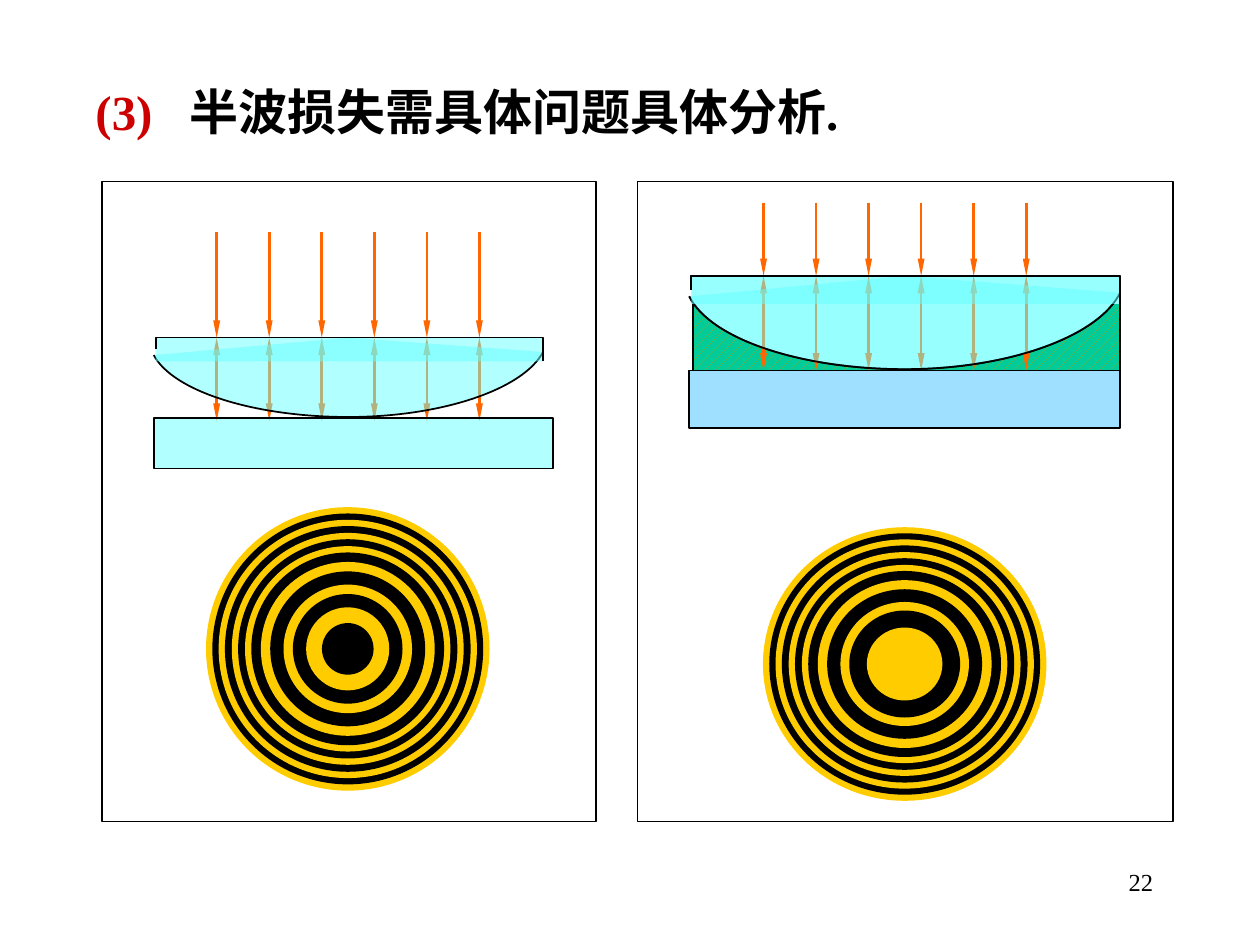
from dataclasses import dataclass

from lxml import etree
from pptx import Presentation
from pptx.dml.color import RGBColor
from pptx.enum.dml import MSO_PATTERN
from pptx.enum.shapes import MSO_CONNECTOR, MSO_SHAPE
from pptx.enum.text import PP_ALIGN
from pptx.oxml.ns import qn
from pptx.util import Inches, Pt

RECT, OVAL = MSO_SHAPE.RECTANGLE, MSO_SHAPE.OVAL
STRAIGHT = MSO_CONNECTOR.STRAIGHT
FONT = "Times New Roman"
BLACK, WHITE, YELLOW, RED = "000000", "FFFFFF", "FFCC00", "CC0000"
RAY, GLASS, PALE_GLASS, SLAB = "FF6600", "66FFFF", "CCFFFF", "9FDFFF"
LIQUID, LIQUID_DOTS = "00CC99", "CC9900"
RAY_COUNT, RAY_GAP = 6, 0.417

# Lens underside in thousandths of the lens box: start, then two cubic curves
UNIT = 1000
BELLY = (
    ("moveTo", ((1000, 180),)),
    ("cubicBezTo", ((950, 650), (740, 1000), (500, 1000))),
    ("cubicBezTo", ((260, 1000), (50, 680), (0, 220))),
)
TO_TOP = (("lnTo", ((500, 0),)), ("close", ()))
CORNERS = ((0, 0), (1, 0), (1, 1), (0, 1))
CAP_LEFT, CAP_HEIGHT = 0.005, 0.3
CAP_EDGE = ((0, 0.5), (0, 0), (1, 0), (1, 1))

RING_DIAMETERS = (2.25, 2.15, 2.05, 1.95, 1.84, 1.74, 1.63,
                  1.53, 1.38, 1.23, 1.02)


@dataclass
class Box:
    x: float
    y: float
    w: float
    h: float

    def lengths(self):
        return [Inches(v) for v in (self.x, self.y, self.w, self.h)]

    def point(self, fx: float, fy: float):
        return Inches(self.x + fx * self.w), Inches(self.y + fy * self.h)


def rgb(color: str) -> RGBColor:
    return RGBColor.from_string(color)


def style(sp, fill: str | None, line: float = 0, alpha: int = 100) -> None:
    """Set fill, opacity in percent and black line width in points."""
    sp.shadow.inherit = False
    if fill is None:
        sp.fill.background()
    else:
        sp.fill.solid()
        sp.fill.fore_color.rgb = rgb(fill)
        if alpha < 100:
            clr = sp._element.spPr.find(qn("a:solidFill"))[0]
            etree.SubElement(clr, qn("a:alpha"), val=str(alpha * 1000))
    if line:
        sp.line.color.rgb = rgb(BLACK)
        sp.line.width = Pt(line)
    else:
        sp.line.fill.background()


def add_block(s, box: Box, fill: str, line: float = 0, alpha: int = 100, kind=RECT):
    sp = s.shapes.add_shape(kind, *box.lengths())
    style(sp, fill, line, alpha)
    return sp


def add_outline(s, box: Box, points, close: bool = False):
    """Draw a freeform whose points are fractions of the box."""
    ends = [box.point(*pt) for pt in points]
    builder = s.shapes.build_freeform(*ends[0], scale=1.0)
    builder.add_line_segments(ends[1:], close=close)
    return builder.convert_to_shape()


def add_path(path_list, commands, **flags: str) -> None:
    path = etree.SubElement(path_list, qn("a:path"), w=str(UNIT), h=str(UNIT), **flags)
    for name, points in commands:
        command = etree.SubElement(path, qn(f"a:{name}"))
        for x, y in points:
            etree.SubElement(command, qn("a:pt"), x=str(x), y=str(y))


def add_lens(s, box: Box, fill: str, alpha: int = 100, edge_fill: str | None = None) -> None:
    """Draw the curved body with its outlined belly, then the flat cap."""
    body = add_outline(s, box, CORNERS, close=True)
    path_list = body._element.spPr.find(qn("a:custGeom")).find(qn("a:pathLst"))
    path_list.remove(path_list[0])
    add_path(path_list, BELLY, fill="none")
    add_path(path_list, BELLY + TO_TOP, stroke="0")
    style(body, fill, 1, alpha)
    inset = CAP_LEFT * box.w
    cap = Box(box.x + inset, box.y, box.w - inset, CAP_HEIGHT * box.h)
    add_block(s, cap, fill, alpha=alpha)
    style(add_outline(s, cap, CAP_EDGE), edge_fill, 1)


def add_rays(s, x: float, top: float, bottom: float, both_ends: bool) -> None:
    for i in range(RAY_COUNT):
        px = Inches(x + i * RAY_GAP)
        ray = s.shapes.add_connector(STRAIGHT, px, Inches(top), px, Inches(bottom))
        ray.line.color.rgb = rgb(RAY)
        ray.line.width = Pt(1.5)
        ln = ray.line._get_or_add_ln()
        for tag in ("a:headEnd", "a:tailEnd") if both_ends else ("a:tailEnd",):
            etree.SubElement(ln, qn(tag), type="triangle", w="sm", len="lg")
        etree.SubElement(ray._element.spPr, qn("a:effectLst"))


def add_rings(s, cx: float, cy: float, diameters, squash: float = 1) -> None:
    for i, d in enumerate(diameters):
        box = Box(cx - d / 2, cy - d * squash / 2, d, d * squash)
        add_block(s, box, BLACK if i % 2 else YELLOW, kind=OVAL)


def add_text(s, box: Box, runs, size: float, bold: bool = False,
             align=PP_ALIGN.LEFT, tab: float = 0) -> None:
    tf = s.shapes.add_textbox(*box.lengths()).text_frame
    tf.word_wrap = True
    p = tf.paragraphs[0]
    p.alignment = align
    if tab:
        tabs = etree.SubElement(p._p.get_or_add_pPr(), qn("a:tabLst"))
        etree.SubElement(tabs, qn("a:tab"), pos=str(Inches(tab)), algn="l")
    for text, color in runs:
        r = p.add_run()
        r.text = text
        r.font.name, r.font.size, r.font.bold = FONT, Pt(size), bold
        r.font.color.rgb = rgb(color)


def add_liquid_panel(s) -> None:
    """Lens over a slab with liquid in the gap: bright centre."""
    lens = Box(5.47, 2.19, 3.42, 0.74)
    add_block(s, Box(5.06, 1.44, 4.25, 5.08), WHITE, 0.75)
    liquid = add_block(s, Box(5.5, 2.36, 3.39, 0.92), LIQUID, 0.75)
    liquid.fill.patterned()
    liquid.fill.pattern = MSO_PATTERN.PERCENT_20
    liquid.fill.fore_color.rgb = rgb(LIQUID_DOTS)
    liquid.fill.back_color.rgb = rgb(LIQUID)
    add_lens(s, lens, PALE_GLASS, edge_fill=PALE_GLASS)
    add_block(s, Box(5.47, 2.94, 3.42, 0.46), SLAB, 1)
    add_rays(s, 6.06, 1.61, 2.19, both_ends=False)
    add_rays(s, 6.06, 2.19, 2.94, both_ends=True)
    add_lens(s, lens, GLASS, alpha=50)


def add_air_panel(s) -> None:
    """Lens over a slab with air in the gap: dark centre."""
    add_block(s, Box(0.81, 1.44, 3.92, 5.08), WHITE, 0.75)
    add_rays(s, 1.72, 2.68, 3.34, both_ends=True)
    add_block(s, Box(1.22, 3.32, 3.17, 0.4), GLASS, 1, alpha=50)
    add_lens(s, Box(1.22, 2.68, 3.09, 0.63), GLASS, alpha=50)
    add_rays(s, 1.72, 1.84, 2.68, both_ends=False)


def main() -> None:
    prs = Presentation()
    prs.slide_width, prs.slide_height = Inches(10), Inches(7.5)
    s = prs.slides.add_slide(prs.slide_layouts[6])
    add_text(s, Box(7.17, 6.83, 2.08, 0.5), [("22", BLACK)], 14, align=PP_ALIGN.RIGHT)
    add_liquid_panel(s)
    add_air_panel(s)
    title = [("(3)\t", RED), ("半波损失需具体问题具体分析.", BLACK)]
    add_text(s, Box(0.66, 0.6, 7.17, 0.57), title, 28, bold=True, tab=0.75)
    add_rings(s, 2.76, 5.15, RING_DIAMETERS + (0.87, 0.66, 0.41))
    add_rings(s, 7.18, 5.27, RING_DIAMETERS + (0.88, 0.6), squash=0.965)
    prs.save("out.pptx")


if __name__ == "__main__":
    main()
